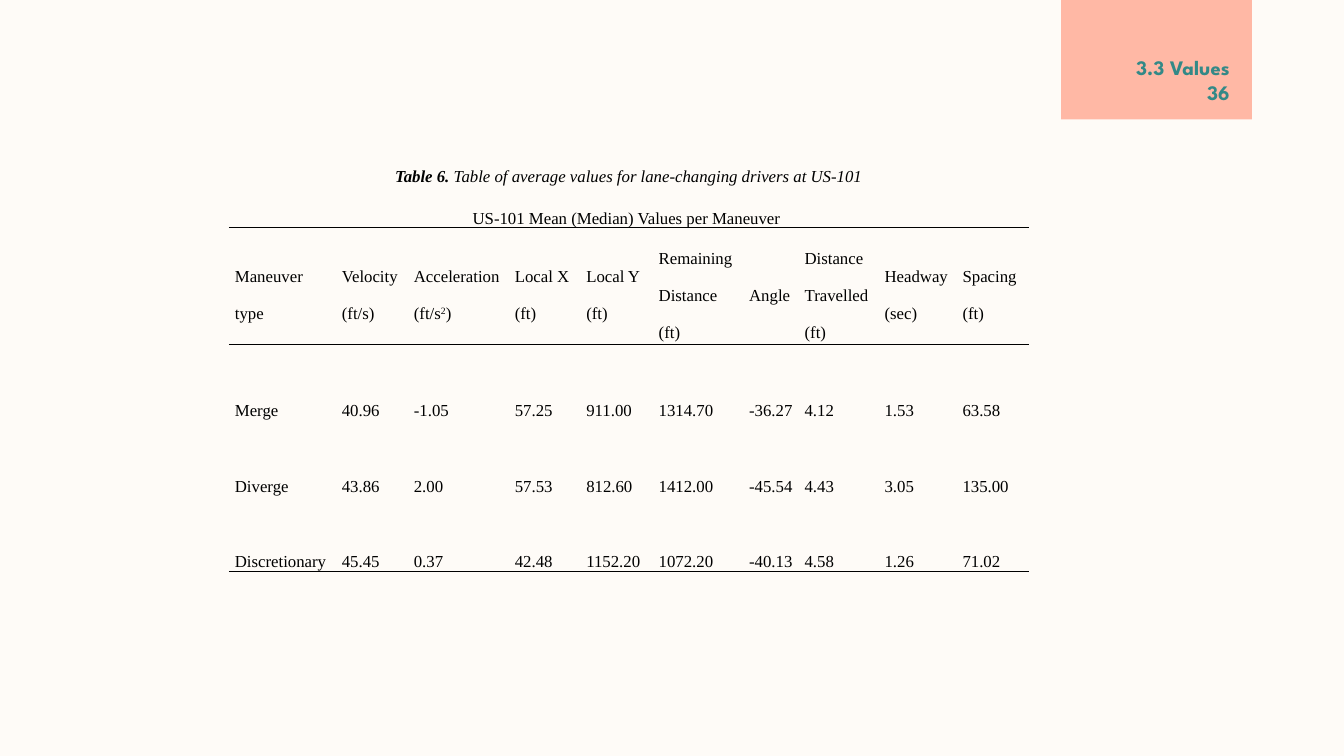
from pptx import Presentation
from pptx.dml.color import RGBColor
from pptx.enum.shapes import MSO_SHAPE
from pptx.enum.text import MSO_ANCHOR, MSO_AUTO_SIZE, PP_ALIGN
from pptx.oxml import parse_xml
from pptx.oxml.ns import nsdecls
from pptx.util import Inches, Pt

RECTANGLE = MSO_SHAPE.RECTANGLE
TOP, MIDDLE, BOTTOM = MSO_ANCHOR.TOP, MSO_ANCHOR.MIDDLE, MSO_ANCHOR.BOTTOM
LEFT, CENTER, RIGHT = PP_ALIGN.LEFT, PP_ALIGN.CENTER, PP_ALIGN.RIGHT
NO_FIT = MSO_AUTO_SIZE.NONE

CREAM = RGBColor(0xFE, 0xFB, 0xF7)
PEACH = RGBColor(0xFF, 0xB8, 0xA5)
TEAL = RGBColor(0x33, 0x89, 0x87)
BLACK = RGBColor(0x00, 0x00, 0x00)

HEADING = {"name": "League Spartan", "size": 14.7, "color": TEAL, "bold": True}
BODY = {"name": "Times New Roman", "size": 12, "color": BLACK}

COL_WIDTHS = [7.96, 5.36, 7.51, 5.32, 5.39, 6.73, 4.13, 5.95, 5.8, 5.36]
ROW_HEIGHTS = [4.67, 15.47, 10, 10, 10]
SPANNING_TITLE = "US-101 Mean (Median) Values per Maneuver "
ROWS = [
    ["Maneuver type", "Velocity (ft/s)", "Acceleration (ft/s^2^)", "Local X (ft)",
     "Local Y (ft)", "Remaining Distance (ft)", "Angle", "Distance Travelled (ft)",
     "Headway (sec)", "Spacing (ft)"],
    ["Merge", "40.96", "-1.05", "57.25", "911.00", "1314.70", "-36.27", "4.12",
     "1.53", "63.58"],
    ["Diverge", "43.86", "2.00", "57.53", "812.60", "1412.00", "-45.54", "4.43",
     "3.05", "135.00"],
    ["Discretionary", "45.45", "0.37", "42.48", "1152.20", "1072.20", "-40.13",
     "4.58", "1.26", "71.02"],
]
RULES_BELOW = {0, 1, 4}


class Deck:
    """Draws styled elements on one slide, placed on a 100 by 100 grid."""

    def __init__(self):
        self.prs = Presentation()
        self.prs.slide_width, self.prs.slide_height = Inches(13.333), Inches(7.5)
        self.slide = self.prs.slides.add_slide(self.prs.slide_layouts[5])
        fill = self.slide.background.fill
        fill.solid()
        fill.fore_color.rgb = CREAM

    def x(self, cols):
        return int(self.prs.slide_width * cols / 100)

    def y(self, rows):
        return int(self.prs.slide_height * rows / 100)

    def box(self, left, top, width, height):
        return self.x(left), self.y(top), self.x(width), self.y(height)

    def style(self, r, name, size, color, bold=False, italic=False):
        r.font.name, r.font.size = name, Pt(size)
        r.font.bold, r.font.italic = bold, italic
        r.font.color.rgb = color

    def backdrop(self, place, color):
        sp = self.slide.shapes.add_shape(RECTANGLE, *self.box(*place))
        sp.shadow.inherit = False
        sp.fill.solid()
        sp.fill.fore_color.rgb = color
        sp.line.fill.background()
        self.slide.shapes._spTree.insert(2, sp._element)

    def fill_text(self, sp, runs, align, anchor, inset):
        tf = sp.text_frame
        tf.word_wrap, tf.auto_size = True, NO_FIT
        tf.vertical_anchor = anchor
        tf.margin_left = tf.margin_right = Inches(inset)
        tf.margin_top = tf.margin_bottom = Inches(inset)
        p = tf.paragraphs[0]
        p.alignment, p.line_spacing = align, 1.0
        for text, look in runs:
            r = p.add_run()
            r.text = text
            self.style(r, **look)

    def title(self, place, text):
        sp = self.slide.shapes.title
        sp.left, sp.top, sp.width, sp.height = self.box(*place)
        self.fill_text(sp, [(text, HEADING)], RIGHT, BOTTOM, 0.1)

    def text(self, place, runs, align, anchor, inset):
        sp = self.slide.shapes.add_textbox(*self.box(*place))
        self.fill_text(sp, runs, align, anchor, inset)

    def borders(self, cell, top, bottom):
        tc_pr = cell._tc.get_or_add_tcPr()
        for side, ruled in (("L", False), ("R", False), ("T", top), ("B", bottom)):
            paint = (f'<a:solidFill><a:srgbClr val="{BLACK}"/></a:solidFill>'
                     if ruled else "<a:noFill/>")
            tc_pr.append(parse_xml(
                f'<a:ln{side} {nsdecls("a")} w="{Pt(1)}">{paint}</a:ln{side}>'))

    def cell(self, cell, text, align, anchor):
        cell.vertical_anchor = anchor
        p = cell.text_frame.paragraphs[0]
        p.alignment, p.line_spacing = align, 2.0
        for i, part in enumerate(text.split("^")):
            r = p.add_run()
            r.text = part
            self.style(r, **BODY)
            if i % 2:
                r._r.get_or_add_rPr().set("baseline", "30000")

    def table(self, left, top):
        place = self.box(left, top, sum(COL_WIDTHS), sum(ROW_HEIGHTS))
        table = self.slide.shapes.add_table(
            len(ROW_HEIGHTS), len(COL_WIDTHS), *place).table
        table.first_row = table.horz_banding = False
        for column, width in zip(table.columns, COL_WIDTHS):
            column.width = self.x(width)
        for i, (row, height) in enumerate(zip(table.rows, ROW_HEIGHTS)):
            row.height = self.y(height)
            for cell in row.cells:
                cell.margin_left = cell.margin_right = Inches(0.06)
                cell.margin_top = cell.margin_bottom = 0
                self.borders(cell, i - 1 in RULES_BELOW, i in RULES_BELOW)
                cell.fill.background()
        table.cell(0, 0).merge(table.cell(0, len(COL_WIDTHS) - 1))
        self.cell(table.cell(0, 0), SPANNING_TITLE, CENTER, BOTTOM)
        for i, values in enumerate(ROWS, 1):
            for j, value in enumerate(values):
                self.cell(table.cell(i, j), value, LEFT, MIDDLE if i == 1 else BOTTOM)


def main():
    deck = Deck()
    deck.backdrop((78.95, 0, 14.2, 15.8), PEACH)
    deck.title((60.9, 2.53, 31.35, 9.33), "3.3 Values")
    deck.text((86.25, 9.2, 6, 7.6), [("36", HEADING)], RIGHT, TOP, 0.1)
    deck.table(17.03, 25.2)
    caption = [
        ("Table 6.", {**BODY, "bold": True, "italic": True}),
        (" Table of average values for lane-changing drivers at US-101",
         {**BODY, "italic": True}),
    ]
    deck.text((17.85, 21.2, 57.9, 4), caption, CENTER, MIDDLE, 0.05)
    deck.prs.save("out.pptx")


if __name__ == "__main__":
    main()
